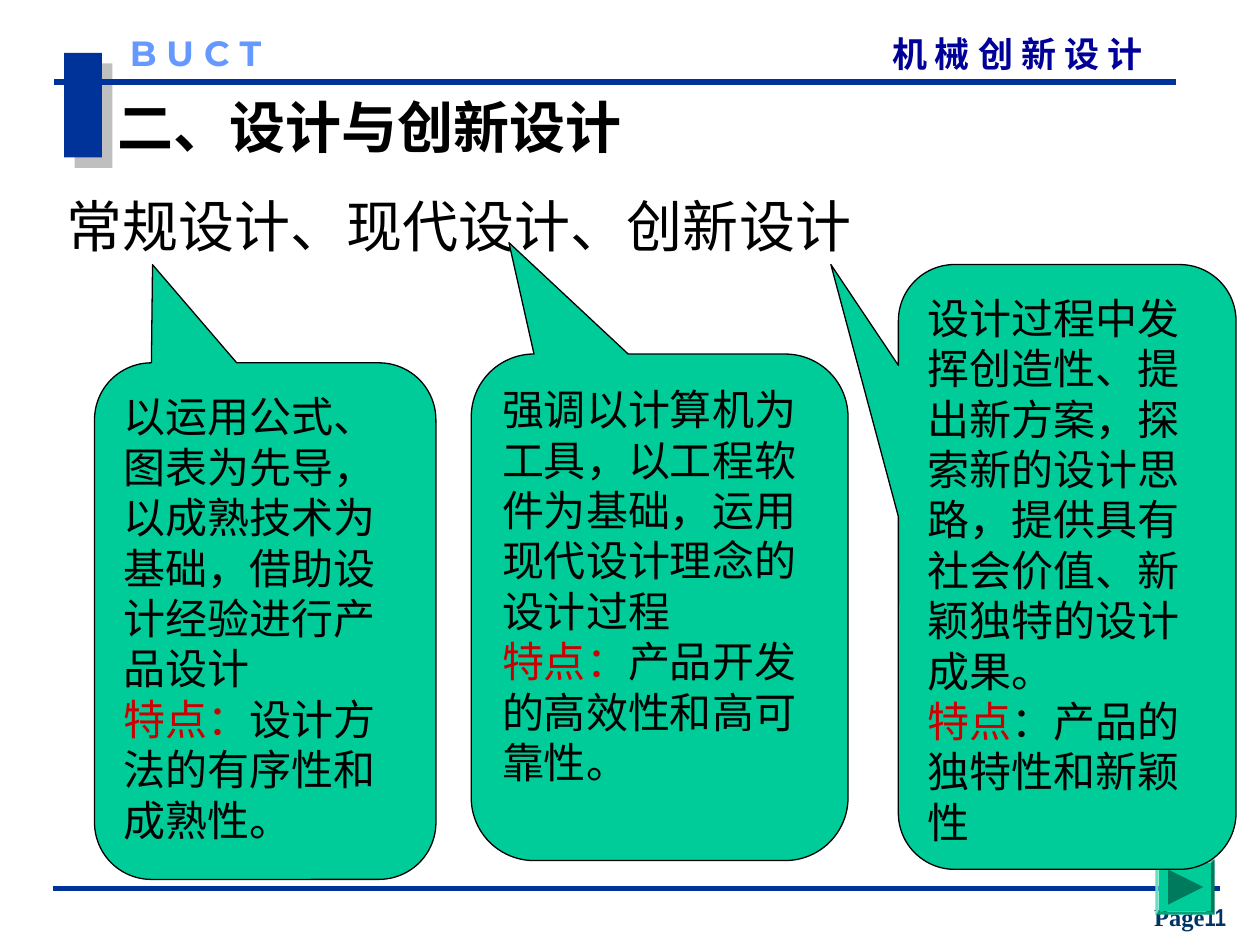
from lxml.etree import SubElement as Sub
from pptx import Presentation
from pptx.dml.color import RGBColor
from pptx.enum.shapes import MSO_CONNECTOR as Conn, MSO_SHAPE as Kind
from pptx.enum.text import MSO_ANCHOR as Anchor, PP_ALIGN as Align
from pptx.oxml import parse_xml
from pptx.oxml.ns import nsdecls, qn
from pptx.util import Inches, Pt

COLORS = {"blue": "003399", "navy": "000099", "sky": "6699FF", "page": "003366",
          "green": "00CC99", "dark": "007A5C", "red": "CC0000", "black": "000000"}
CJK, SERIF = "Noto Sans CJK SC", "Times New Roman"

TITLE = "二、设计与创新设计"
BODY = "常规设计、现代设计、创新设计"
HEADS = [  # text, box, font, color
    ("机 械 创 新 设 计", (7.08, 0.26, 2.46, 0.33), CJK, "navy"),
    ("B U C T", (1.03, 0.25, 1.42, 0.33), "Montserrat", "sky"),
]
RULES = [(0.43, 9.33, 0.65), (0.42, 9.68, 7.05)]  # left, right, height
NOTES = [  # box, tip, text, label, feature
    ((0.75, 2.88, 2.71, 4.1), (-0.33, -0.69),
     "以运用公式、图表为先导，以成熟技术为基础，借助设计经验进行产品设计",
     "特点：", "设计方法的有序性和成熟性。"),
    ((7.13, 2.1, 2.68, 4.8), (-0.7, -0.5),
     "设计过程中发挥创造性、提出新方案，探索新的设计思路，提供具有社会价值、新颖独特的设计成果。",
     "特点", "：产品的独特性和新颖性"),
    ((3.74, 2.81, 2.99, 4.02), (-0.4, -0.72),
     "强调以计算机为工具，以工程软件为基础，运用现代设计理念的设计过程",
     "特点：", "产品开发的高效性和高可靠性。"),
]


def rgb(name):
    return RGBColor.from_string(COLORS[name])


def place(shape, box):
    shape.left, shape.top, shape.width, shape.height = map(Inches, box)


def write(para, runs, size, bold=False, align=Align.LEFT):
    """Fill a paragraph with (text, font, color) runs at 1.2 line pitch."""
    para.alignment = align
    para.line_spacing = Pt(size * 1.2)
    para.space_before = Pt(0)
    for text, face, color in runs:
        run = para.add_run()
        run.text = text
        font = run.font
        font.name, font.size, font.bold = face, Pt(size), bold
        font.color.rgb = rgb(color)
        latin = font._element.find(qn("a:latin"))
        latin.addnext(parse_xml(f'<a:ea {nsdecls("a")} typeface="{CJK}"/>'))


def paint(shape, fill, line=None):
    shape.shadow.inherit = False
    shape.fill.solid()
    shape.fill.fore_color.rgb = rgb(fill)
    if line:
        shape.line.color.rgb = rgb(line)
        shape.line.width = Pt(0.75)
    else:
        shape.line.fill.background()


def add_text(box, margin):
    frame = shapes.add_textbox(*map(Inches, box)).text_frame
    frame.word_wrap = True
    frame.margin_left = frame.margin_right = Inches(margin)
    frame.margin_top = frame.margin_bottom = Inches(margin / 2)
    return frame


deck = Presentation()
deck.slide_width, deck.slide_height = Inches(10), Inches(7.5)
slide = deck.slides.add_slide(deck.slide_layouts[1])
shapes = slide.shapes

# Header and footer
block = shapes.add_shape(Kind.RECTANGLE, *map(Inches, (0.51, 0.42, 0.3, 0.83)))
paint(block, "blue")
effects = block._element.spPr.find(qn("a:effectLst"))
effects.append(parse_xml(
    f'<a:outerShdw {nsdecls("a")} dist="{Pt(8.5)}" dir="2700000">'
    '<a:srgbClr val="808080"><a:alpha val="50000"/></a:srgbClr></a:outerShdw>'))

for left, right, y in RULES:
    rule = shapes.add_connector(Conn.STRAIGHT, *map(Inches, (left, y, right, y)))
    rule.line.color.rgb = rgb("blue")
    rule.line.width = Pt(3)
    Sub(rule._element.spPr, qn("a:effectLst"))

for text, box, face, color in HEADS:
    write(add_text(box, 0).paragraphs[0], [(text, face, color)], 20, bold=True)

page = add_text((8.97, 7.11, 0.95, 0.33), 0.1)
page.vertical_anchor = Anchor.BOTTOM
write(page.paragraphs[0], [("Page", SERIF, "page"), ("11", "Arial Narrow", "page")],
      14, bold=True, align=Align.CENTER)

# Title and list of design kinds
title, body = slide.placeholders
for holder, box, text, bold in [(title, (0.83, 0.68, 4.41, 0.64), TITLE, True),
                                (body, (0.43, 1.47, 9.57, 0.64), BODY, False)]:
    place(holder, box)
    holder.text_frame.vertical_anchor = Anchor.MIDDLE
    para = holder.text_frame.paragraphs[0]
    props = para._p.get_or_add_pPr()
    props.set("marL", "0")
    props.set("indent", "0")
    Sub(props, qn("a:buNone"))
    write(para, [(text, SERIF, "black")], 32, bold)

# Next button
x, y, w, h = 9.17, 6.82, 0.47, 0.44
button = shapes.add_shape(Kind.BEVEL, *map(Inches, (x, y, w, h)))
button.adjustments[0] = 0.06
paint(button, "green")
mid, half = y + h / 2, 0.14
pen = shapes.build_freeform(Inches(x + 0.1), Inches(mid - half), scale=1.0)
pen.add_line_segments([(Inches(x + 0.38), Inches(mid)),
                       (Inches(x + 0.1), Inches(mid + half))])
paint(pen.convert_to_shape(), "dark")

# Callouts
for box, tip, text, label, feature in NOTES:
    note = shapes.add_shape(Kind.ROUNDED_RECTANGULAR_CALLOUT, *map(Inches, box))
    note.adjustments[0], note.adjustments[1] = tip
    paint(note, "green", "black")
    frame = note.text_frame
    frame.word_wrap = True
    frame.vertical_anchor = Anchor.TOP
    frame.margin_top = Inches(0.09)
    write(frame.paragraphs[0], [(text, "Arial", "black")], 24)
    write(frame.add_paragraph(),
          [(label, "Arial", "red"), (feature, "Arial", "black")], 24)

deck.save("out.pptx")
